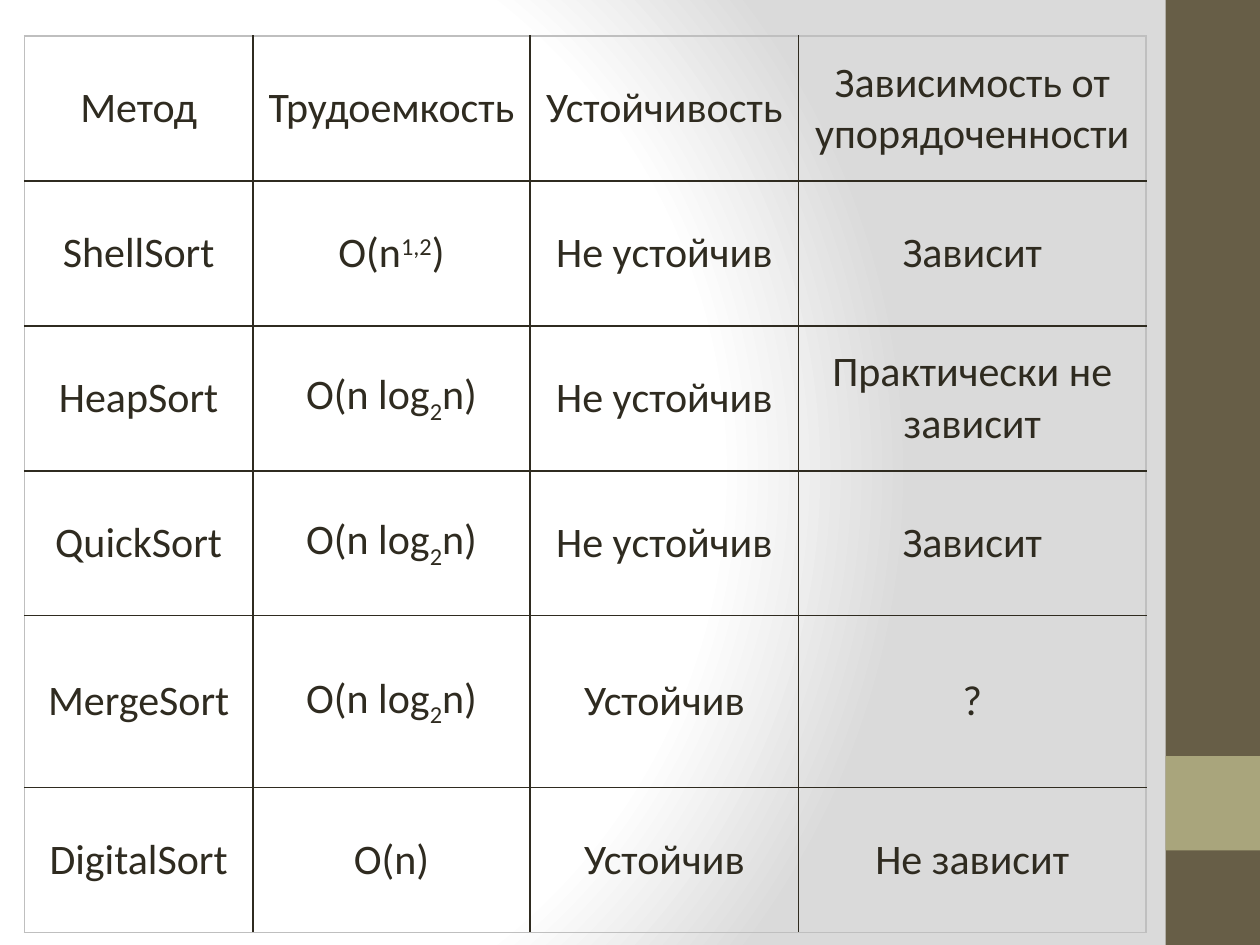
import pptx
import pptx.util
import pptx.dml.color
import pptx.enum.shapes
import pptx.enum.text
import pptx.oxml
import pptx.oxml.ns
import lxml.etree

Pt = pptx.util.Pt
DARK, EDGE = "2F2B20", "BFBFBF"


def paint(fill, color):
    fill.solid()
    fill.fore_color.rgb = pptx.dml.color.RGBColor.from_string(color)


def border(cell, side, color):
    props = cell._tc.get_or_add_tcPr()
    line = lxml.etree.SubElement(
        props, pptx.oxml.ns.qn("a:ln" + side), w=str(Pt(1)))
    solid = lxml.etree.SubElement(line, pptx.oxml.ns.qn("a:solidFill"))
    lxml.etree.SubElement(solid, pptx.oxml.ns.qn("a:srgbClr"), val=color)


deck = pptx.Presentation()
deck.slide_width, deck.slide_height = Pt(720), Pt(540)
slide = deck.slides.add_slide(deck.slide_layouts[6])

# Background: round gradient, white in the left part
slide.background.fill.solid()
old = slide.element.find(".//" + pptx.oxml.ns.qn("a:solidFill"))
stops = "".join(
    f'<a:gs pos="{pos}000"><a:srgbClr val="{color}"/></a:gs>'
    for pos, color in [(0, "FFFFFF"), (75, "FFFFFF"), (100, "DADADA")])
old.getparent().replace(old, pptx.oxml.parse_xml(
    f'<a:gradFill {pptx.oxml.ns.nsdecls("a")} rotWithShape="1">'
    f'<a:gsLst>{stops}</a:gsLst><a:path path="circle">'
    '<a:fillToRect l="20000" t="50000" r="100000" b="50000"/>'
    '</a:path></a:gradFill>'))

# Side band with its accent square
for top, height, color in [(0, 540, "675E47"), (432, 54, "A9A57C")]:
    band = slide.shapes.add_shape(
        pptx.enum.shapes.MSO_SHAPE.RECTANGLE,
        Pt(666), Pt(top), Pt(54), Pt(height))
    band.shadow.inherit = False
    paint(band.fill, color)
    band.line.fill.background()

# Table of sorting methods; a cell is a list of (text, baseline) runs
log = [("O(n log", 0), ("2", -25), ("n)", 0)]
rows = [
    ["Метод", "Трудоемкость", "Устойчивость", "Зависимость от упорядоченности"],
    ["ShellSort", [("O(n", 0), ("1,2", 30), (")", 0)], "Не устойчив", "Зависит"],
    ["HeapSort", log, "Не устойчив", "Практически не зависит"],
    ["QuickSort", log, "Не устойчив", "Зависит"],
    ["MergeSort", log, "Устойчив", "?"],
    ["DigitalSort", "O(n)", "Устойчив", "Не зависит"],
]
widths = [130.5, 158.5, 153.3, 198.7]
heights = [82.8] * 4 + [98.3, 82.8]
table = slide.shapes.add_table(
    len(rows), len(widths), Pt(14), Pt(20.6),
    Pt(sum(widths)), Pt(sum(heights))).table
table.first_row = table.horz_banding = False
for col, width in zip(table.columns, widths):
    col.width = Pt(width)
for row, height in zip(table.rows, heights):
    row.height = Pt(height)

for r, row in enumerate(rows):
    for c, runs in enumerate(row):
        cell = table.cell(r, c)
        # Dark inner lines, pale outer edge
        for side, outer in [("L", c == 0), ("R", c == len(widths) - 1),
                            ("T", r == 0), ("B", r == len(rows) - 1)]:
            border(cell, side, EDGE if outer else DARK)
        cell.fill.background()
        cell.vertical_anchor = pptx.enum.text.MSO_ANCHOR.MIDDLE
        para = cell.text_frame.paragraphs[0]
        para.alignment = pptx.enum.text.PP_ALIGN.CENTER
        for text, base in [(runs, 0)] if isinstance(runs, str) else runs:
            run = para.add_run()
            run.text = text
            run.font.size = Pt(24)
            run.font.name = "Calibri"
            paint(run.font.fill, DARK)
            if base:
                run.font._element.set("baseline", str(base * 1000))

deck.save("out.pptx")
